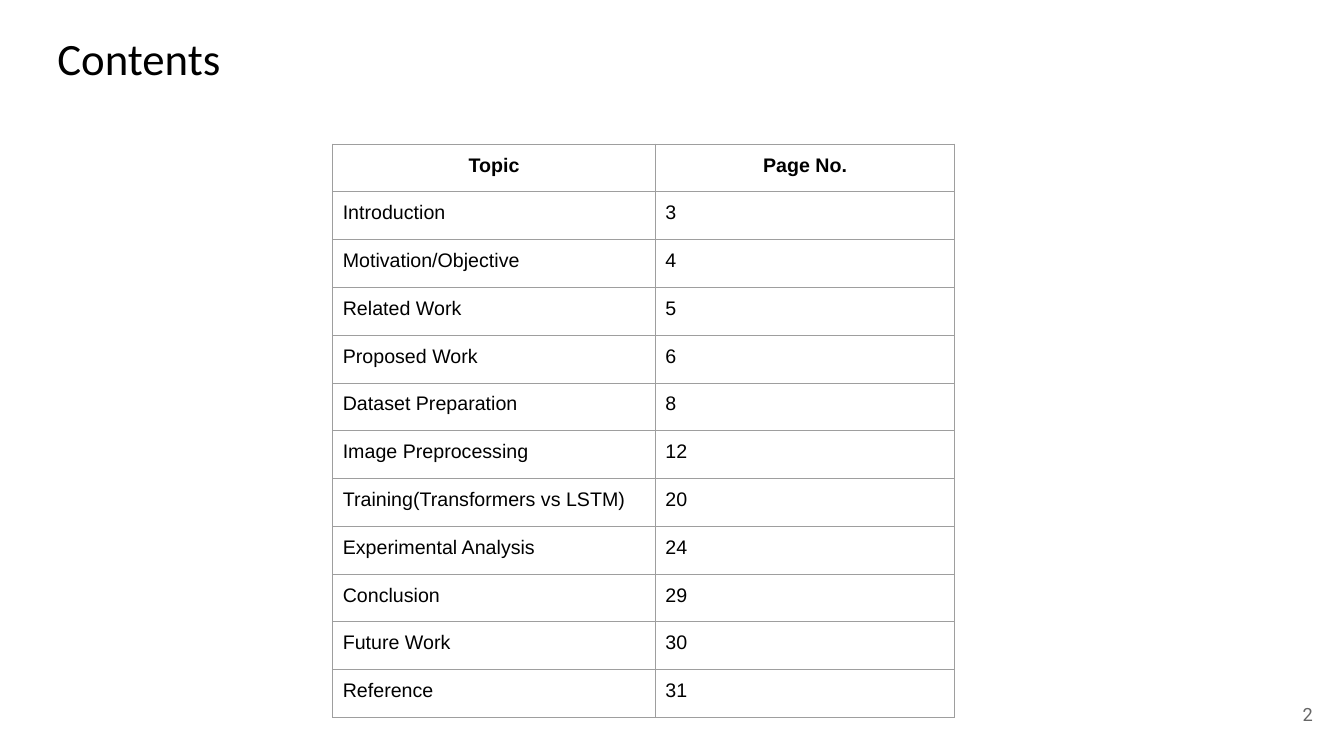
from lxml.etree import SubElement
from pptx import Presentation
from pptx.dml.color import RGBColor
from pptx.enum.text import MSO_ANCHOR as Anchor, MSO_AUTO_SIZE as AutoSize, PP_ALIGN as Align
from pptx.oxml.ns import qn
from pptx.util import Inches, Pt

COLORS = {"text": "000000", "number": "666666", "border": "9E9E9E"}

CONTENTS = [
    ("Topic", "Page No."),
    ("Introduction", "3"),
    ("Motivation/Objective", "4"),
    ("Related Work", "5"),
    ("Proposed Work", "6"),
    ("Dataset Preparation", "8"),
    ("Image Preprocessing", "12"),
    ("Training(Transformers vs LSTM)", "20"),
    ("Experimental Analysis", "24"),
    ("Conclusion", "29"),
    ("Future Work", "30"),
    ("Reference", "31"),
]
COLUMN_WIDTHS = (3.2, 2.97)
TABLE_HEIGHT = 5.69


def write_text(frame, text, font, size, color, align=Align.LEFT, bold=False, inset=0.1):
    for side in ("left", "top", "right", "bottom"):
        setattr(frame, f"margin_{side}", Inches(inset))
    paragraph = frame.paragraphs[0]
    paragraph.alignment = align
    run = paragraph.add_run()
    run.text = text
    font_format = {"name": font, "size": Pt(size), "bold": bold}
    for name, value in font_format.items():
        setattr(run.font, name, value)
    run.font.color.rgb = RGBColor.from_string(COLORS[color])


def add_borders(cell):
    properties = cell._tc.get_or_add_tcPr()
    for edge in ("lnL", "lnR", "lnT", "lnB"):
        line = SubElement(properties, qn(f"a:{edge}"), w=str(Pt(0.75)))
        fill = SubElement(line, qn("a:solidFill"))
        SubElement(fill, qn("a:srgbClr"), val=COLORS["border"])


presentation = Presentation()
presentation.slide_width = Inches(13.33)
presentation.slide_height = Inches(7.5)
slide = presentation.slides.add_slide(presentation.slide_layouts[6])

# Page number
number_frame = slide.shapes.add_textbox(
    Inches(12.35), Inches(6.8), Inches(0.8), Inches(0.57)).text_frame
number_frame.word_wrap = True
number_frame.vertical_anchor = Anchor.MIDDLE
write_text(number_frame, "2", "Roboto", 13, "number", Align.RIGHT, inset=0.13)

# Title
title_frame = slide.shapes.add_textbox(
    Inches(0.47), Inches(0.2), Inches(9), Inches(0.74)).text_frame
title_frame.word_wrap = True
title_frame.auto_size = AutoSize.SHAPE_TO_FIT_TEXT
write_text(title_frame, "Contents", "Calibri", 32, "text")

# Table of contents
table = slide.shapes.add_table(
    len(CONTENTS), len(COLUMN_WIDTHS), Inches(3.3), Inches(1.43),
    Inches(sum(COLUMN_WIDTHS)), Inches(TABLE_HEIGHT)).table
table.horz_banding = False
for column, width in zip(table.columns, COLUMN_WIDTHS):
    column.width = Inches(width)

for row_index, entry in enumerate(CONTENTS):
    is_header = row_index == 0
    for column_index, text in enumerate(entry):
        cell = table.cell(row_index, column_index)
        add_borders(cell)
        cell.fill.background()
        write_text(cell.text_frame, text, "Arial", 14, "text",
                   Align.CENTER if is_header else Align.LEFT, bold=is_header)
        for side in ("left", "top", "right", "bottom"):
            setattr(cell, f"margin_{side}", Inches(0.1))

presentation.save("out.pptx")
